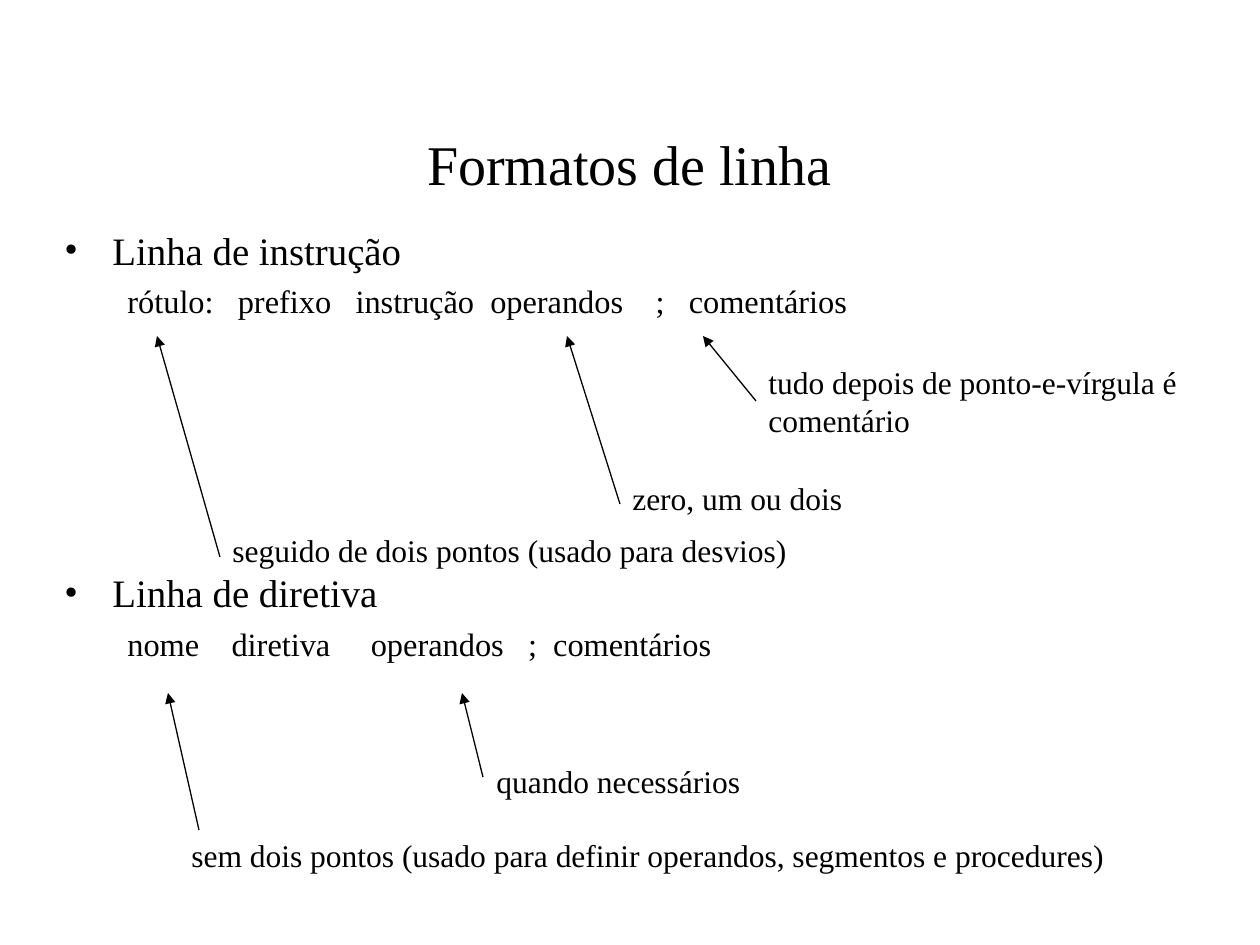
"""Build the slide on the formats of instruction and directive lines."""
import pptx
import pptx.dml.color
import pptx.enum.shapes
import pptx.enum.text
import pptx.oxml.ns
import pptx.util
from lxml import etree

PX = 914400 / 126
THEME = {
    "font": "Times New Roman",
    "ink": pptx.dml.color.RGBColor(0, 0, 0),
    "title": 32,
    "head": 22.2,
    "row": 18.5,
    "note": 18,
    "line": 0.75,
}
ALIGN = pptx.enum.text.PP_ALIGN
ANCHOR = pptx.enum.text.MSO_ANCHOR


def px(num):
    return pptx.util.Emu(round(num * PX))


def write(para, text, size, **form):
    run = para.add_run()
    run.text = text
    run.font.name = THEME["font"]
    run.font.size = pptx.util.Pt(THEME[size])
    run.font.color.rgb = THEME["ink"]
    for key, val in form.items():
        setattr(para, key, val)
    return run


deck = pptx.Presentation()
deck.slide_width, deck.slide_height = px(1260), px(945)
slide = deck.slides.add_slide(deck.slide_layouts[6])
shapes = slide.shapes
qn = pptx.oxml.ns.qn

title = shapes.add_textbox(px(94), px(84), px(1071), px(158)).text_frame
title.word_wrap = True
title.vertical_anchor = ANCHOR.MIDDLE
write(title.paragraphs[0], "Formatos de linha", "title", alignment=ALIGN.CENTER)

parts = [
    ("Linha de instrução", 0, "rótulo:",
     [(3, "prefixo"), (3, "instrução"), (2, "operandos"), (4, ";"), (3, "comentários")]),
    ("Linha de diretiva", 142, "nome",
     [(4, "diretiva"), (5, "operandos"), (3, ";"), (2, "comentários")]),
]
body = shapes.add_textbox(px(52), px(220), px(924), px(462)).text_frame
body.word_wrap = True
para = body.paragraphs[0]
for head, gap, first, rest in parts:
    write(para, head, "head", space_before=pptx.util.Pt(gap))
    props = para._p.get_or_add_pPr()
    props.set("marL", str(px(48)))
    props.set("indent", str(px(-48)))
    etree.SubElement(props, qn("a:buSzPct"), val="100000")
    etree.SubElement(props, qn("a:buFont"), typeface=THEME["font"])
    etree.SubElement(props, qn("a:buChar"), char="•")

    para = body.add_paragraph()
    write(para, first, "row", space_before=pptx.util.Pt(5))
    props = para._p.get_or_add_pPr()
    props.set("marL", str(px(63)))
    props.set("indent", "0")
    etree.SubElement(props, qn("a:buNone"))
    for count, word in rest:
        space = write(para, " ", "row")
        track = (count - 1) * THEME["row"] / 4
        space.font._element.set("spc", str(round(track * 100)))
        write(para, word, "row")
    if head != parts[-1][0]:
        para = body.add_paragraph()

notes = [
    ("seguido de dois pontos (usado para desvios)",
     (220, 525, 600, 50), (157, 336), (220, 557)),
    ("zero, um ou dois", (620, 473, 254, 50), (567, 336), (620, 504)),
    ("tudo depois de ponto-e-vírgula é comentário",
     (756, 357, 451, 88), (703, 336), (756, 401)),
    ("sem dois pontos (usado para definir operandos, segmentos e procedures)",
     (179, 830, 959, 50), (168, 693), (199, 830)),
    ("quando necessários", (484, 756, 288, 50), (462, 693), (483, 777)),
]
for text, (left, top, wide, high), tip, end in notes:
    box = shapes.add_textbox(px(left), px(top), px(wide), px(high))
    box.text_frame.word_wrap = True
    write(box.text_frame.paragraphs[0], text, "note")

    line = shapes.add_connector(
        pptx.enum.shapes.MSO_CONNECTOR.STRAIGHT, *map(px, tip + end))
    line.line.color.rgb = THEME["ink"]
    line.line.width = pptx.util.Pt(THEME["line"])
    etree.SubElement(line.line._get_or_add_ln(), qn("a:headEnd"), type="triangle")
    etree.SubElement(line._element.spPr, qn("a:effectLst"))
    if end == (left, top + high // 2):
        line.end_connect(box, 1)

deck.save("out.pptx")
